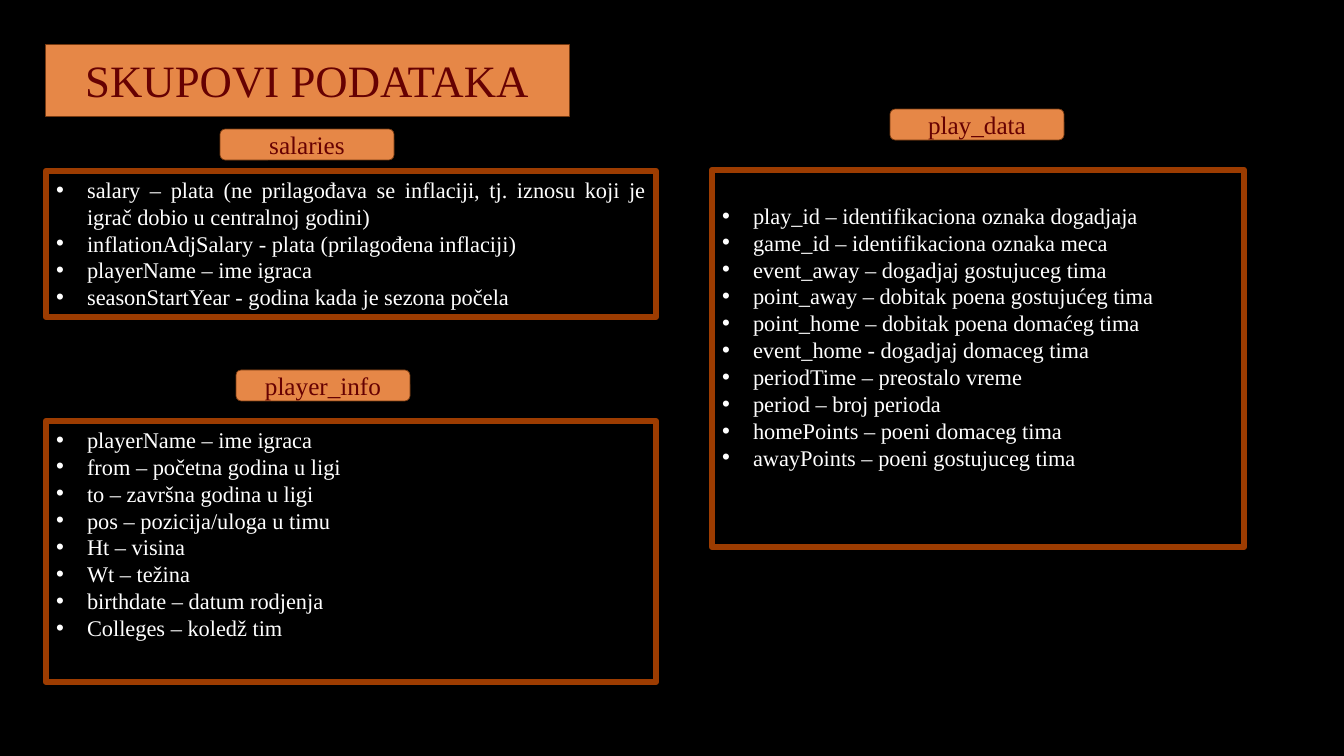
from lxml.etree import SubElement
from pptx import Presentation
from pptx.dml.color import RGBColor
from pptx.enum.shapes import MSO_SHAPE as Shape
from pptx.enum.text import MSO_ANCHOR as Anchor, MSO_AUTO_SIZE as AutoSize, PP_ALIGN as Align
from pptx.oxml.ns import qn
from pptx.util import Pt

SLIDE_WIDTH, SLIDE_HEIGHT = 1344, 756
EMU_PER_PX = 12192000 / SLIDE_WIDTH
COLORS = {
    "background": "000000",
    "label": "E68747",
    "label_edge": "763910",
    "label_text": "660102",
    "frame": "9C3C01",
    "list_text": "FFFFFF",
}
FONT = "Times New Roman"
LABEL_SIZE = (174, 31)
BULLET_INDENT = 31

# Each table: label position, list box, top inset, fields
TABLES = [
    ("salaries", (220, 129), (46, 171, 610, 146), 5, [
        "salary – plata (ne prilagođava se inflaciji, tj. iznosu koji je igrač dobio u centralnoj godini)",
        "inflationAdjSalary - plata (prilagođena inflaciji)",
        "playerName – ime igraca",
        "seasonStartYear - godina kada je sezona počela",
    ]),
    ("player_info", (236, 370), (46, 421, 610, 261), 5, [
        "playerName – ime igraca",
        "from – početna godina u ligi",
        "to – završna godina u ligi",
        "pos – pozicija/uloga u timu",
        "Ht – visina",
        "Wt – težina",
        "birthdate – datum rodjenja",
        "Colleges – koledž tim",
    ]),
    ("play_data", (890, 109), (712, 170, 532, 377), 32, [
        "play_id – identifikaciona oznaka dogadjaja",
        "game_id – identifikaciona oznaka meca",
        "event_away – dogadjaj gostujuceg tima",
        "point_away – dobitak poena gostujućeg tima",
        "point_home – dobitak poena domaćeg tima",
        "event_home - dogadjaj domaceg tima",
        "periodTime – preostalo vreme",
        "period – broj perioda",
        "homePoints – poeni domaceg tima",
        "awayPoints – poeni gostujuceg tima",
    ]),
]


def px(length):
    return round(length * EMU_PER_PX)


def color(name):
    return RGBColor.from_string(COLORS[name])


def set_all(target, **values):
    for name, value in values.items():
        setattr(target, name, value)


def place(shape, box):
    left, top, width, height = map(px, box)
    set_all(shape, left=left, top=top, width=width, height=height)


def outline(shape, name, width):
    shape.line.color.rgb = color(name)
    shape.line.width = Pt(width)


def write(para, text, size, color_name, align):
    set_all(para, alignment=align, space_before=Pt(0), space_after=Pt(0), line_spacing=1.0)
    span = para.add_run()
    span.text = text
    set_all(span.font, name=FONT, size=Pt(size), bold=False)
    span.font.color.rgb = color(color_name)


def style_label(shape, text, size):
    shape.fill.solid()
    shape.fill.fore_color.rgb = color("label")
    outline(shape, "label_edge", 0.5)
    frame = shape.text_frame
    set_all(frame, word_wrap=True, auto_size=AutoSize.NONE, vertical_anchor=Anchor.MIDDLE)
    write(frame.paragraphs[0], text, size, "label_text", Align.CENTER)


def add_bullet(para):
    props = para._p.get_or_add_pPr()
    props.set("marL", str(px(BULLET_INDENT)))
    props.set("indent", str(-px(BULLET_INDENT)))
    SubElement(props, qn("a:buFont"), typeface="Arial")
    SubElement(props, qn("a:buChar"), char="•")


def fill_title(title, box, text):
    place(title, box)
    # Rounded outline for the title placeholder
    geometry = SubElement(title.element.spPr, qn("a:prstGeom"), prst="roundRect")
    SubElement(geometry, qn("a:avLst"))
    style_label(title, text, 32)


def add_label(page, position, text):
    label = page.shapes.add_shape(Shape.ROUNDED_RECTANGLE, *map(px, position + LABEL_SIZE))
    label.shadow.inherit = False
    style_label(label, text, 18)


def fill_list(body, box, top_inset, fields):
    place(body, box)
    outline(body, "frame", 4.5)
    frame = body.text_frame
    set_all(frame, word_wrap=True, auto_size=AutoSize.NONE,
            vertical_anchor=Anchor.TOP, margin_top=px(top_inset))
    for index, field in enumerate(fields):
        para = frame.add_paragraph() if index else frame.paragraphs[0]
        write(para, field, 16, "list_text", Align.JUSTIFY)
        add_bullet(para)


def build_datasets_page(deck):
    page = deck.slides.add_slide(deck.slide_layouts.get_by_name("Comparison"))
    page.background.fill.solid()
    page.background.fill.fore_color.rgb = color("background")

    # Title
    fill_title(page.shapes.title, (45, 44, 524, 72), "SKUPOVI PODATAKA")

    # Field lists with their labels
    title, *bodies = page.placeholders
    for body, (name, position, box, top_inset, fields) in zip(bodies, TABLES):
        fill_list(body, box, top_inset, fields)
        add_label(page, position, name)

    # Unused placeholders
    for body in bodies[len(TABLES):]:
        body.element.getparent().remove(body.element)


def main():
    deck = Presentation()
    set_all(deck, slide_width=px(SLIDE_WIDTH), slide_height=px(SLIDE_HEIGHT))
    build_datasets_page(deck)
    deck.save("out.pptx")


if __name__ == "__main__":
    main()
